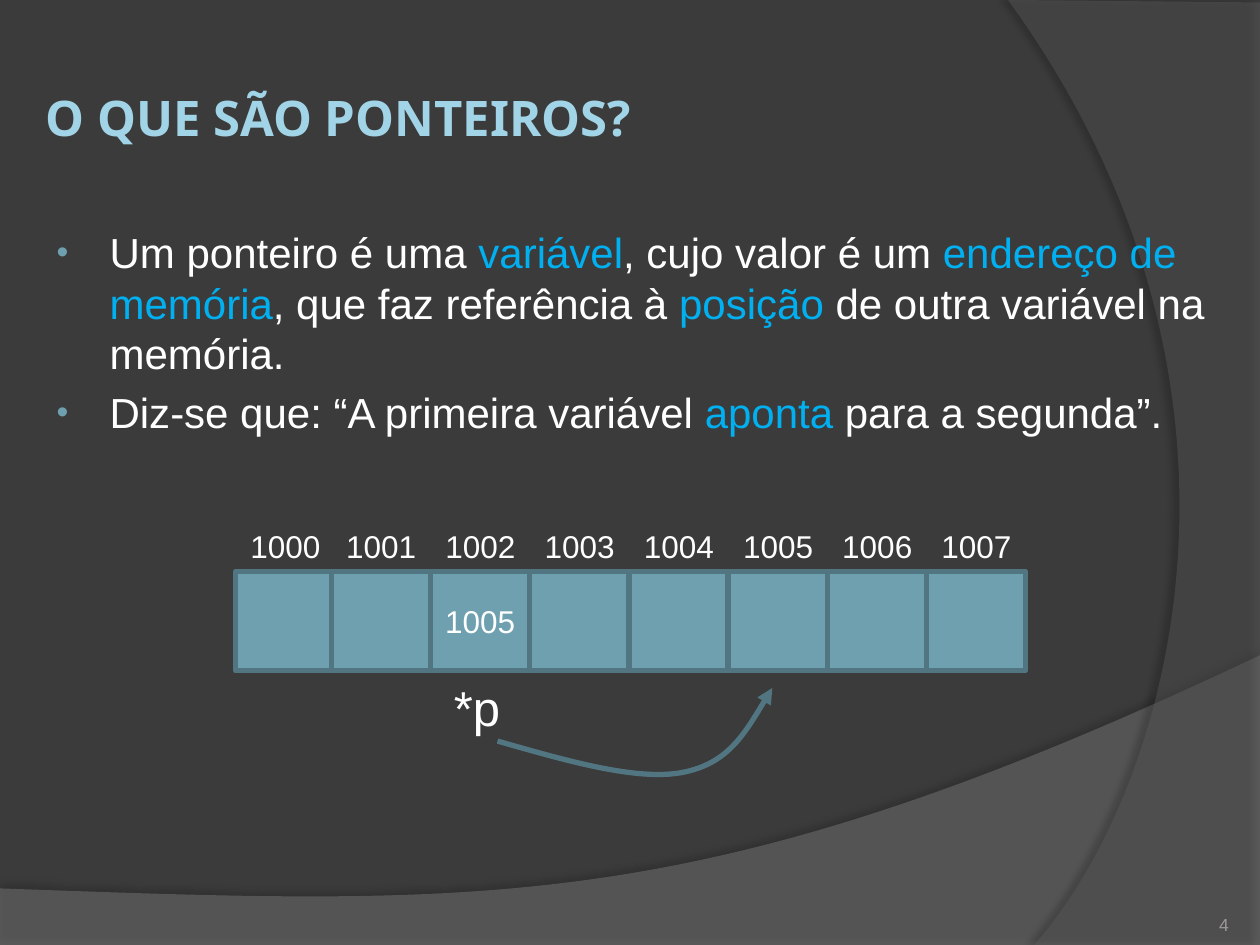
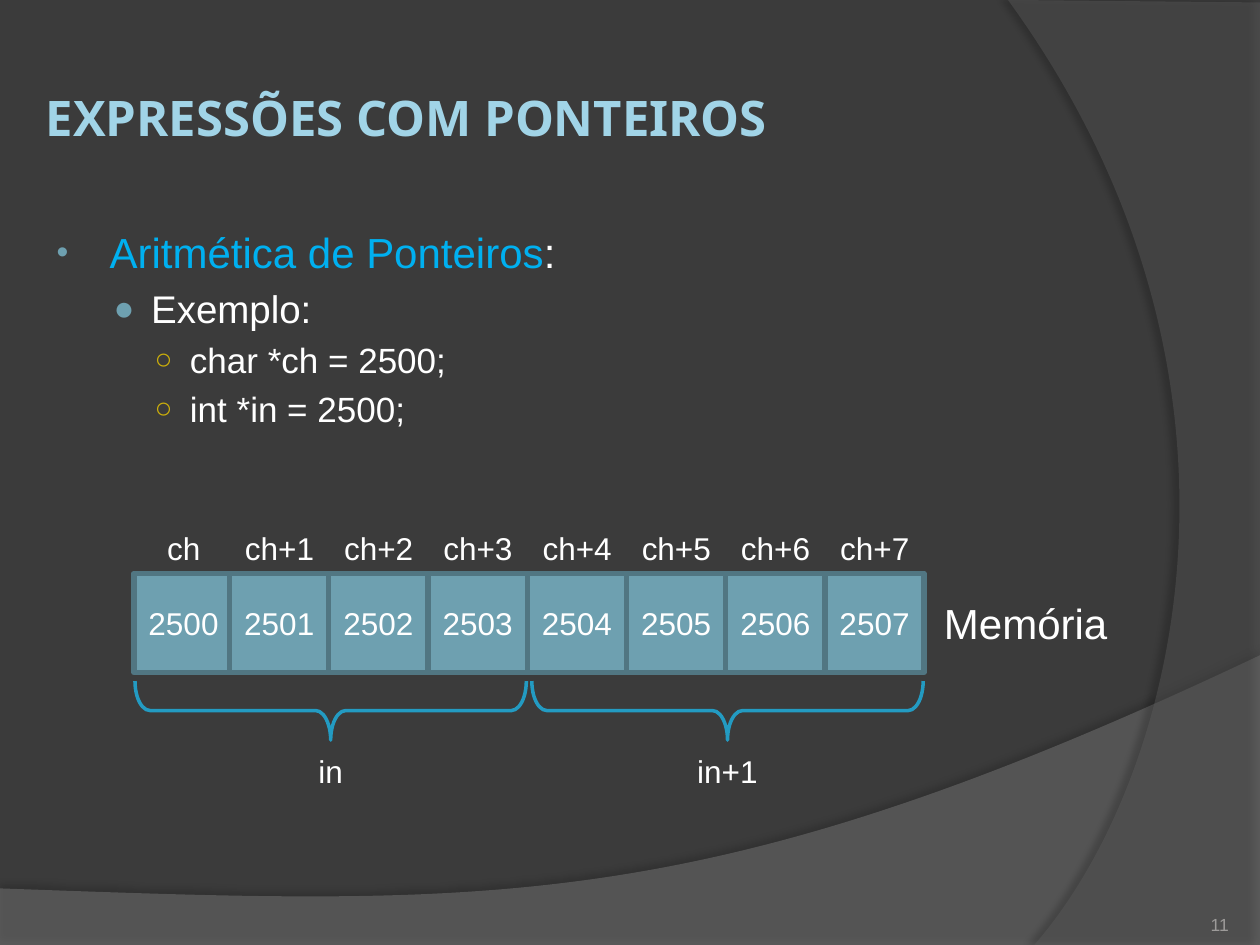
import pptx
import pptx.dml.color
import pptx.enum.shapes
import pptx.enum.text
import pptx.oxml
import pptx.oxml.ns
import pptx.util

Cm = pptx.util.Cm
Pt = pptx.util.Pt
RGB = pptx.dml.color.RGBColor.from_string
qn = pptx.oxml.ns.qn
SHAPE = pptx.enum.shapes.MSO_SHAPE
ALIGN = pptx.enum.text.PP_ALIGN
ANCHOR = pptx.enum.text.MSO_ANCHOR
DRAWING = pptx.oxml.ns.nsdecls("a")

COLOURS = {
    "background": "3B3B3B", "bottom_band": "7F7F7F", "side_band": "5E5E5E",
    "title": "A1D4E7", "text": "FFFFFF", "keyword": "00B0F0", "number": "9D9B9A",
    "cell": "6EA0B0", "cell_line": "517682", "brace": "239BC2", "gold": "CCAF0A",
    "shadow": "000000",
}
BULLETS = [
    {"char": "•", "colour": "cell", "percent": 80, "left": 1.17, "hang": 1.07, "size": 24},
    {"char": "●", "colour": "cell", "percent": 90, "left": 2.01, "hang": 0.76, "size": 22},
    {"char": "○", "colour": "gold", "percent": 85, "left": 2.79, "hang": 0.71, "size": 20},
]
BANDS = [
    {"colour": "bottom_band", "alpha": 45, "shadow": (35, 3.5, 270),
     "start": (0, 17.91),
     "segments": [[(0, 19.05)], [(25.4, 19.05)], [(25.4, 13.21)],
                  [(14.2, 18.52), (9.93, 18.26), (0, 17.91)]]},
    {"colour": "side_band", "alpha": 40, "shadow": (45, 4, 180),
     "start": (25.4, 0.05),
     "segments": [[(25.4, 19.05)], [(20.85, 19.05)],
                  [(23.75, 15.72), (25.86, 7.62), (20.32, 0)]]},
]
ARROW_START = (10.03, 14.94)
ARROW_SEGMENTS = [[(11.43, 15.34), (12.85, 15.75), (13.77, 15.57)],
                  [(14.68, 15.39), (15.11, 14.63), (15.57, 13.87)]]
CELL = 2.0
FIRST_STEP = 1.93

SLIDES = [
    {"title": "O QUE SÃO PONTEIROS?", "number": "4",
     "body": [
         (0, [("Um ponteiro é uma ", "text"), ("variável", "keyword"),
              (", cujo valor é um ", "text"), ("endereço de memória", "keyword"),
              (", que faz referência à ", "text"), ("posição", "keyword"),
              (" de outra variável na memória. ", "text")]),
         (0, [("Diz-se que: “A primeira variável ", "text"), ("aponta", "keyword"),
              (" para a segunda”.", "text")]),
     ],
     "memory": (4.75, 11.52),
     "labels": [str(1000 + i) for i in range(8)],
     "values": ["1005" if i == 2 else "" for i in range(8)],
     "captions": [("*p", 8.83, 13.53, 1.57, 1.45, 28)]},
    {"title": "EXPRESSÕES COM PONTEIROS", "number": "11",
     "body": [
         (0, [("Aritmética de Ponteiros", "keyword"), (":", "text")]),
         (1, [("Exemplo:", "text")]),
         (2, [("char *ch = 2500;", "text")]),
         (2, [("int *in = 2500;", "text")]),
     ],
     "memory": (2.7, 11.56),
     "labels": ["ch"] + [f"ch+{i}" for i in range(1, 8)],
     "values": [str(2500 + i) for i in range(8)],
     "captions": [("in", 5.7, 15.04, 1.93, 1.02, 18),
                  ("in+1", 13.7, 15.04, 1.93, 1.02, 18),
                  ("Memória", 18.68, 11.93, 3.99, 1.27, 24)]},
]


def add_run(paragraph, text, size, colour, font="Arial"):
    run = paragraph.add_run()
    run.text = text
    run.font.name = font
    run.font.size = Pt(size)
    run.font.color.rgb = RGB(COLOURS[colour])
    return run


def add_outline(slide, start, segments, close):
    builder = slide.shapes.build_freeform(Cm(start[0]), Cm(start[1]))
    builder.add_line_segments([(Cm(s[-1][0]), Cm(s[-1][1])) for s in segments], close=close)
    shape = builder.convert_to_shape()
    shape.shadow.inherit = False
    lines = list(shape.element.iter(qn("a:lnTo")))
    for line, segment in zip(lines, segments):
        if len(segment) == 3:
            points = "".join(f'<a:pt x="{Cm(x) - shape.left}" y="{Cm(y) - shape.top}"/>'
                             for x, y in segment)
            curve = pptx.oxml.parse_xml(f"<a:cubicBezTo {DRAWING}>{points}</a:cubicBezTo>")
            line.getparent().replace(line, curve)
    return shape


presentation = pptx.Presentation()
presentation.slide_width = Cm(25.4)
presentation.slide_height = Cm(19.05)
layout = presentation.slide_layouts[5]
background = presentation.slide_master.background.fill
background.solid()
background.fore_color.rgb = RGB(COLOURS["background"])

slides = [presentation.slides.add_slide(layout) for content in SLIDES]
pointer_slide, arithmetic_slide = slides

for index, band in enumerate(BANDS):
    shape = add_outline(pointer_slide, band["start"], band["segments"], True)
    shape.fill.solid()
    shape.fill.fore_color.rgb = RGB(COLOURS[band["colour"]])
    shape.line.fill.background()
    properties = shape.element.spPr
    colour = properties.find(qn("a:solidFill")).find(qn("a:srgbClr"))
    colour.append(pptx.oxml.parse_xml(f'<a:alpha {DRAWING} val="{band["alpha"] * 1000}"/>'))
    alpha, distance, angle = band["shadow"]
    properties.find(qn("a:effectLst")).append(pptx.oxml.parse_xml(
        f'<a:outerShdw {DRAWING} blurRad="{Pt(4)}" dist="{Pt(distance)}" dir="{angle * 60000}" '
        f'algn="ctr" rotWithShape="0"><a:srgbClr val="{COLOURS["shadow"]}">'
        f'<a:alpha val="{alpha * 1000}"/></a:srgbClr></a:outerShdw>'))
    shape.element.nvSpPr.cNvPr.set("id", str(100 + index))
    layout.shapes.element.insert(2 + index, shape.element)

for slide, content in zip(slides, SLIDES):
    title = slide.shapes.title
    title.left, title.top, title.width, title.height = Cm(0.79), Cm(0.76), Cm(23.83), Cm(3.18)
    frame = title.text_frame
    frame.margin_left = frame.margin_right = frame.margin_top = frame.margin_bottom = Cm(0.13)
    frame.vertical_anchor = ANCHOR.MIDDLE
    frame.paragraphs[0].alignment = ALIGN.LEFT
    run = add_run(frame.paragraphs[0], content["title"], 28, "title", "Noto Sans")
    run.font.bold = True

    body = slide.shapes.add_textbox(Cm(0.79), Cm(4.45), Cm(23.83), Cm(12.57)).text_frame
    body.word_wrap = True
    for index, (level, runs) in enumerate(content["body"]):
        paragraph = body.add_paragraph() if index else body.paragraphs[0]
        bullet = BULLETS[level]
        paragraph.level = level
        paragraph.space_before = Pt(0.2 * bullet["size"])
        properties = paragraph._p.get_or_add_pPr()
        properties.set("marL", str(Cm(bullet["left"])))
        properties.set("indent", str(-Cm(bullet["hang"])))
        for xml in (
            f'<a:buClr {DRAWING}><a:srgbClr val="{COLOURS[bullet["colour"]]}"/></a:buClr>',
            f'<a:buSzPct {DRAWING} val="{bullet["percent"] * 1000}"/>',
            f'<a:buFont {DRAWING} typeface="Arial"/>',
            f'<a:buChar {DRAWING} char="{bullet["char"]}"/>',
        ):
            properties.append(pptx.oxml.parse_xml(xml))
        for text, colour in runs:
            add_run(paragraph, text, bullet["size"], colour)

    captions = [(*caption, "text", ALIGN.CENTER, ANCHOR.TOP) for caption in content["captions"]]
    captions.append((content["number"], 22.66, 17.83, 2.11, 1.15, 10,
                     "number", ALIGN.RIGHT, ANCHOR.BOTTOM))

    memory_left, memory_top = content["memory"]
    for index, (label, value) in enumerate(zip(content["labels"], content["values"])):
        left = memory_left + (FIRST_STEP + CELL * (index - 1) if index else 0)
        cell = slide.shapes.add_shape(SHAPE.RECTANGLE, Cm(left), Cm(memory_top), Cm(CELL), Cm(CELL))
        cell.shadow.inherit = False
        cell.fill.solid()
        cell.fill.fore_color.rgb = RGB(COLOURS["cell"])
        cell.line.color.rgb = RGB(COLOURS["cell_line"])
        cell.line.width = Pt(3)
        if value:
            frame = cell.text_frame
            frame.margin_left = frame.margin_right = 0
            frame.vertical_anchor = ANCHOR.MIDDLE
            frame.paragraphs[0].alignment = ALIGN.CENTER
            add_run(frame.paragraphs[0], value, 18, "text")
        captions.append((label, left + 0.04, memory_top - 1.03, 1.93, 1.02, 18,
                         "text", ALIGN.CENTER, ANCHOR.TOP))

    for text, left, top, width, height, size, colour, alignment, anchor in captions:
        frame = slide.shapes.add_textbox(Cm(left), Cm(top), Cm(width), Cm(height)).text_frame
        frame.word_wrap = True
        frame.margin_left = frame.margin_right = 0
        frame.vertical_anchor = anchor
        frame.paragraphs[0].alignment = alignment
        add_run(frame.paragraphs[0], text, size, colour)

arrow = add_outline(pointer_slide, ARROW_START, ARROW_SEGMENTS, False)
arrow.fill.background()
arrow.line.color.rgb = RGB(COLOURS["cell_line"])
arrow.line.width = Pt(3)
arrow.element.spPr.find(qn("a:ln")).append(
    pptx.oxml.parse_xml(f'<a:tailEnd {DRAWING} type="triangle"/>'))

for index in range(2):
    brace = arithmetic_slide.shapes.add_shape(
        SHAPE.RIGHT_BRACE, Cm(6.07 + 8 * index), Cm(10.38), Cm(1.19), Cm(7.89))
    brace.rotation = 90
    brace.adjustments[0] = 0.255
    brace.adjustments[1] = 0.5
    brace.shadow.inherit = False
    brace.fill.background()
    brace.line.color.rgb = RGB(COLOURS["brace"])
    brace.line.width = Pt(2)

presentation.save("out.pptx")
